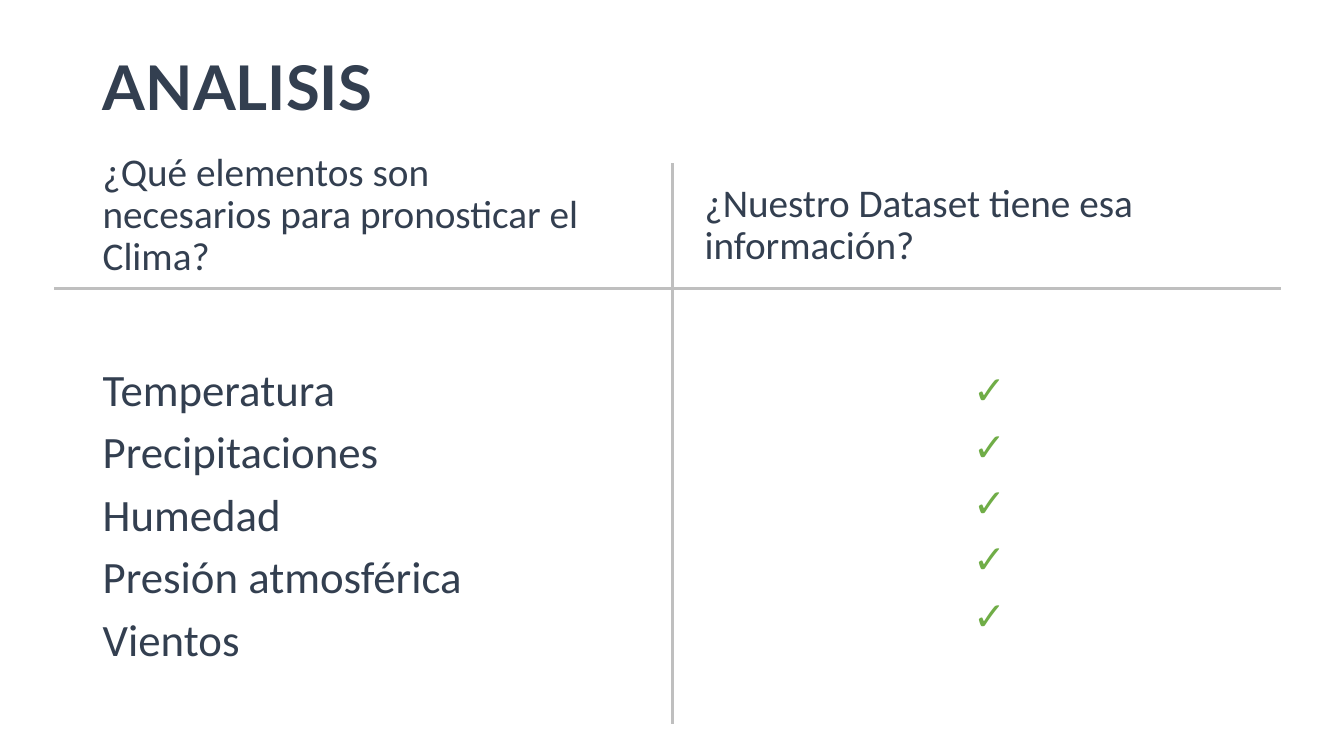
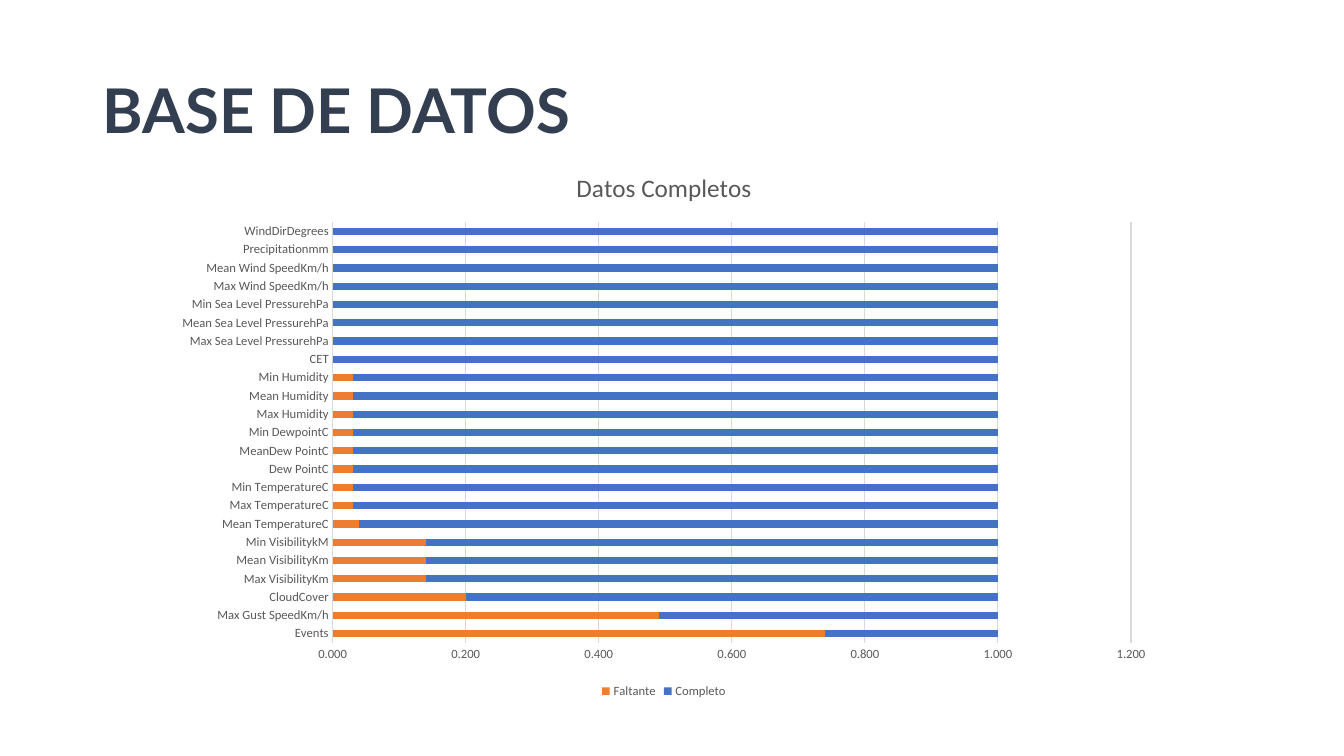
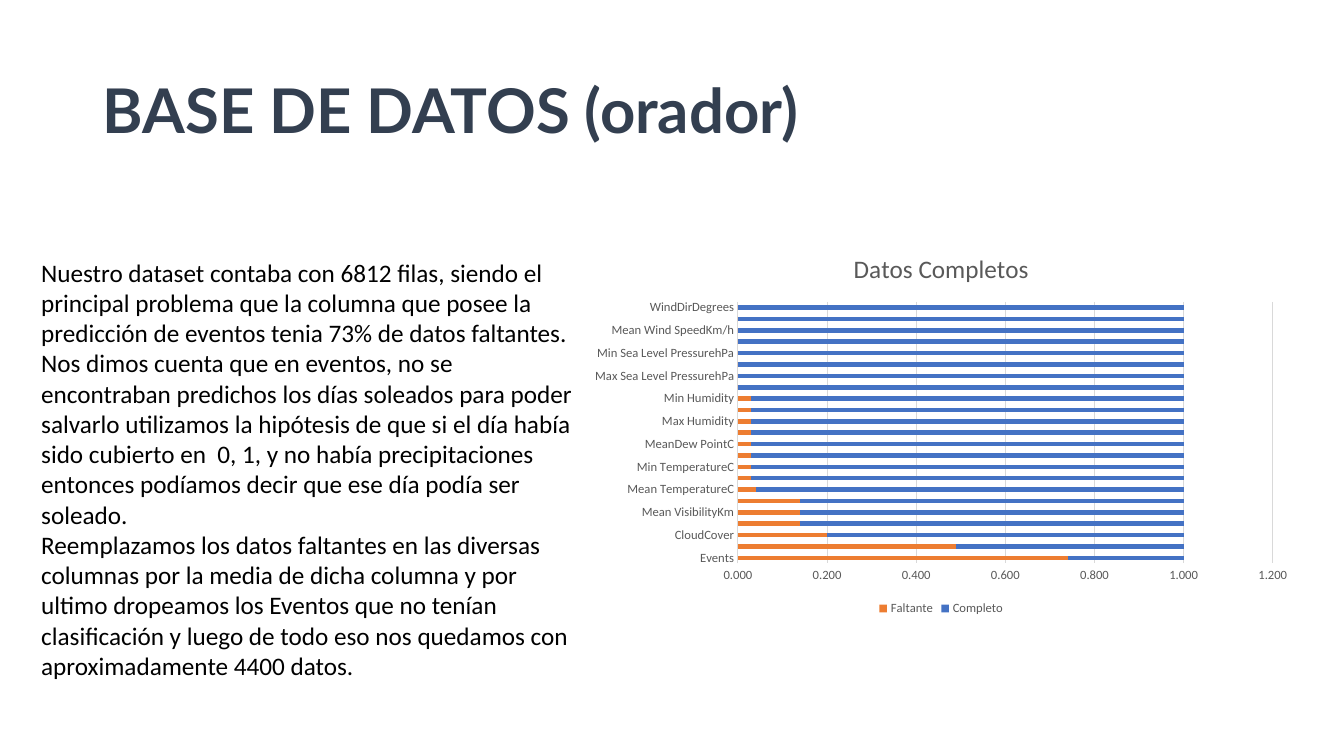
from lxml.etree import SubElement
from pptx import Presentation
from pptx.chart.data import CategoryChartData
from pptx.dml.color import RGBColor
from pptx.enum.chart import XL_CHART_TYPE as ChartType, XL_LEGEND_POSITION as LegendPosition, XL_TICK_MARK as TickMark
from pptx.enum.shapes import MSO_CONNECTOR as Connector
from pptx.enum.text import MSO_ANCHOR as Anchor, MSO_AUTO_SIZE as AutoSize, PP_ALIGN as Align
from pptx.oxml.ns import qn
from pptx.util import Inches, Pt

COLORS = {
    "navy": "333F50", "rule": "BFBFBF", "check": "70AD47", "black": "000000",
    "label": "595959", "grid": "D9D9D9", "missing": "ED7D31", "complete": "4472C4",
}
BODY_FONT, TITLE_FONT = "Calibri", "Lato"
TITLE_SIZE = (11.5, 1.45)
ELEMENTS = ["Temperatura", "Precipitaciones", "Humedad", "Presión atmosférica", "Vientos"]
MISSING = {
    "Events": 0.74, "Max Gust SpeedKm/h": 0.49, "CloudCover": 0.2,
    "Max VisibilityKm": 0.14, "Mean VisibilityKm": 0.14, "Min VisibilitykM": 0.14,
    "Mean TemperatureC": 0.04, "Max TemperatureC": 0.03, "Min TemperatureC": 0.03,
    "Dew PointC": 0.03, "MeanDew PointC": 0.03, "Min DewpointC": 0.03,
    "Max Humidity": 0.03, "Mean Humidity": 0.03, "Min Humidity": 0.03, "CET": 0,
    "Max Sea Level PressurehPa": 0, "Mean Sea Level PressurehPa": 0,
    "Min Sea Level PressurehPa": 0, "Max Wind SpeedKm/h": 0,
    "Mean Wind SpeedKm/h": 0, "Precipitationmm": 0, "WindDirDegrees": 0,
}
SPEECH = [
    "Nuestro dataset contaba con 6812 filas, siendo el principal problema que la columna que posee "
    "la predicción de eventos tenia 73% de datos faltantes. Nos dimos cuenta que en eventos, no se "
    "encontraban predichos los días soleados para poder salvarlo utilizamos la hipótesis de que si "
    "el día había sido cubierto en  0, 1, y no había precipitaciones entonces podíamos decir que "
    "ese día podía ser soleado.",
    "Reemplazamos los datos faltantes en las diversas columnas por la media de dicha columna y por "
    "ultimo dropeamos los Eventos que no tenían clasificación y luego de todo eso nos quedamos con "
    "aproximadamente 4400 datos.",
]


def color(name):
    """Return the named colour of the deck."""
    return RGBColor.from_string(COLORS[name])


def style_font(font, size, tint="label", name=BODY_FONT, bold=False):
    """Format the font of a run or a chart part."""
    font.name, font.size, font.bold = name, Pt(size), bold
    font.color.rgb = color(tint)


def write(frame, lines, size, tint="navy", font=BODY_FONT, bold=False,
          align=Align.LEFT, anchor=Anchor.TOP, spacing=0.9, before=10):
    """Fill a text frame with one paragraph for each line."""
    frame.word_wrap, frame.auto_size = True, AutoSize.NONE
    frame.vertical_anchor = anchor
    for index, line in enumerate(lines):
        para = frame.add_paragraph() if index else frame.paragraphs[0]
        para.alignment, para.line_spacing = align, spacing
        para.space_before = Pt(before)
        span = para.add_run()
        span.text = line
        style_font(span.font, size, tint, font, bold)


def add_text(page, box, lines, size, **options):
    """Add a text box at the given left, top, width and height."""
    shape = page.shapes.add_textbox(*map(Inches, box))
    write(shape.text_frame, lines, size, **options)


def add_page(deck, title, top=0.4):
    """Add a title-only slide with the shared title style."""
    page = deck.slides.add_slide(deck.slide_layouts[5])
    shape = page.shapes.title
    shape.left, shape.top = Inches(0.92), Inches(top)
    shape.width, shape.height = map(Inches, TITLE_SIZE)
    write(shape.text_frame, [title], 44, font=TITLE_FONT, bold=True, anchor=Anchor.MIDDLE, before=0)
    return page


def add_rule(page, start, end):
    """Draw a grey rule between two points."""
    rule = page.shapes.add_connector(Connector.STRAIGHT, *map(Inches, start + end))
    rule.line.color.rgb, rule.line.width = color("rule"), Pt(2.25)
    SubElement(rule._element.spPr, qn("a:effectLst"))


def add_comparison(page, box):
    """Draw the needed elements beside the checks of the dataset."""
    left, top, width, height = box
    middle, divider = left + 6.13, top + 1.24
    add_rule(page, (left, divider), (left + width, divider))
    add_rule(page, (middle, top), (middle, top + height))
    add_text(page, (left + 0.38, top - 0.16, 5.19, 1.71),
             ["¿Qué elementos son necesarios para pronosticar el Clima?"], 28)
    add_text(page, (middle + 0.22, top + 0.15, 6.31, 1.08),
             ["¿Nuestro Dataset tiene esa información?"], 28)
    add_text(page, (left + 0.38, divider + 0.74, 5.19, 3.2), ELEMENTS, 32)
    add_text(page, (middle + 0.55, divider + 0.77, 5.19, 3.2), ["✓"] * len(ELEMENTS), 28,
             tint="check", bold=True, align=Align.CENTER)


def add_completeness_chart(page, box):
    """Add the stacked bars of missing and complete data."""
    data = CategoryChartData(number_format="0.00")
    data.categories = list(MISSING)
    data.add_series("Faltante", list(MISSING.values()))
    data.add_series("Completo", [round(1 - share, 2) for share in MISSING.values()])
    chart = page.shapes.add_chart(ChartType.BAR_STACKED, *map(Inches, box), data).chart
    style_font(chart.font, 10, "black")

    chart.has_title = True
    write_title = chart.chart_title.text_frame.paragraphs[0].add_run()
    write_title.text = "Datos Completos"
    style_font(write_title.font, 18)
    chart.chart_title.include_in_layout = False

    chart.has_legend = True
    chart.legend.position = LegendPosition.BOTTOM
    chart.legend.include_in_layout = False
    style_font(chart.legend.font, 9)

    for axis in (chart.category_axis, chart.value_axis):
        axis.major_tick_mark = axis.minor_tick_mark = TickMark.NONE
        style_font(axis.tick_labels.font, 9)
    category_line = chart.category_axis.format.line
    values = chart.value_axis
    values.has_major_gridlines = True
    for line in (category_line, values.major_gridlines.format.line):
        line.color.rgb, line.width = color("grid"), Pt(0.75)
    values.format.line.fill.background()
    values.minimum_scale, values.maximum_scale, values.major_unit = 0, 1.2, 0.2
    values.tick_labels.number_format = "0.000"
    values.tick_labels.number_format_is_linked = False

    plot = chart.plots[0]
    plot.gap_width, plot.overlap, plot.vary_by_categories = 150, 100, False
    for series, tint in zip(plot.series, ("missing", "complete")):
        series.format.fill.solid()
        series.format.fill.fore_color.rgb = color(tint)


def main():
    """Build and save the three slides."""
    deck = Presentation()
    deck.slide_width, deck.slide_height = Inches(13.33), Inches(7.5)
    add_comparison(add_page(deck, "ANALISIS", top=0.17), (0.54, 1.62, 12.17, 5.56))
    add_completeness_chart(add_page(deck, "BASE DE DATOS"), (1.61, 1.48, 9.95, 5.49))
    page = add_page(deck, "BASE DE DATOS (orador)")
    add_completeness_chart(page, (5.76, 2.32, 7.15, 3.83))
    add_text(page, (0.31, 2.5, 5.55, 4.34), SPEECH, 18, tint="black", spacing=1.0, before=0)
    deck.save("out.pptx")


if __name__ == "__main__":
    main()
